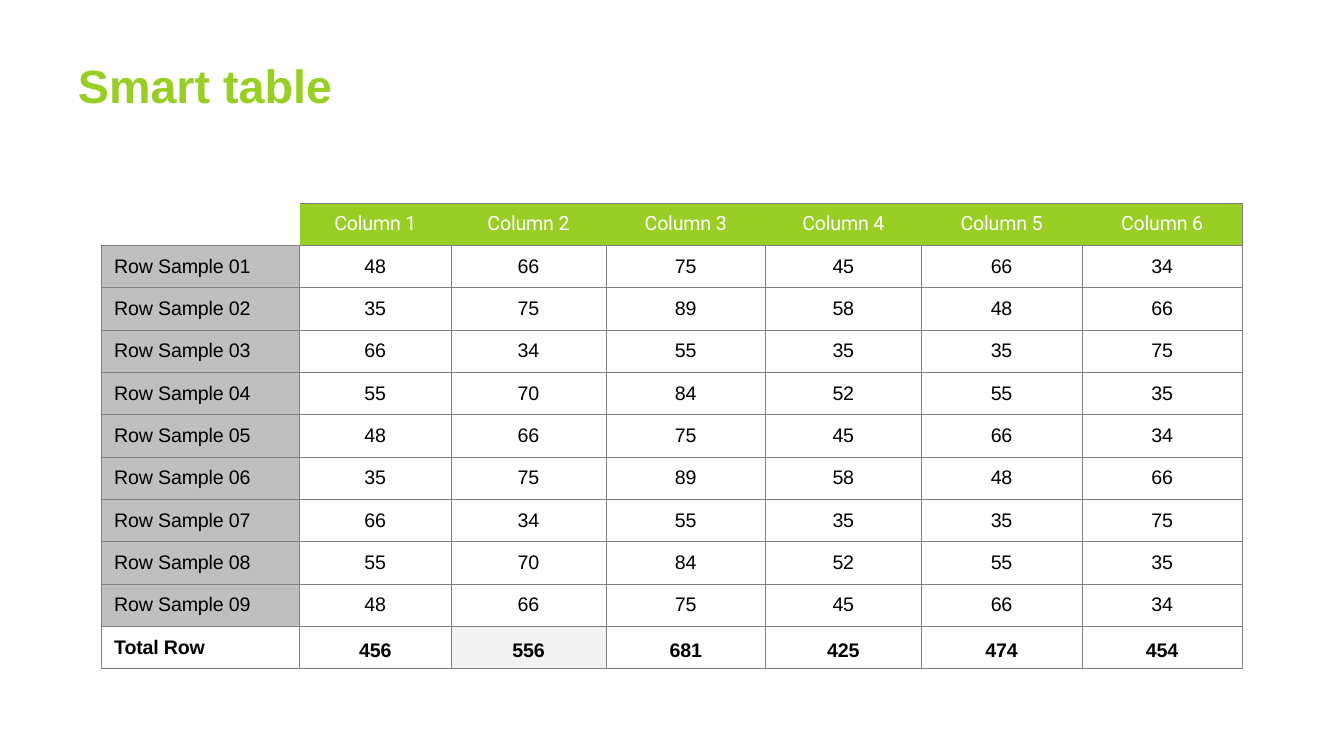
from itertools import accumulate, cycle, islice

from lxml.etree import SubElement
from pptx import Presentation
from pptx.dml.color import RGBColor
from pptx.enum.text import MSO_ANCHOR as Anchor, MSO_AUTO_SIZE as AutoSize, PP_ALIGN as Align
from pptx.oxml.ns import qn
from pptx.util import Pt

TITLE = "Smart table"
COLUMNS = [f"Column {n}" for n in range(1, 7)]
SAMPLE_CYCLE = [
    (48, 66, 75, 45, 66, 34),
    (35, 75, 89, 58, 48, 66),
    (66, 34, 55, 35, 35, 75),
    (55, 70, 84, 52, 55, 35),
]
SAMPLES = [
    (f"Row Sample {n:02}", *values)
    for n, values in enumerate(islice(cycle(SAMPLE_CYCLE), 9), 1)
]
TOTALS = ("Total Row", 456, 556, 681, 425, 474, 454)
GRID = [("", *COLUMNS), *SAMPLES, TOTALS]

THEME = {
    "green": "99CE24", "white": "FFFFFF", "black": "000000",
    "label": "BFBFBF", "pale": "F2F2F2", "border": "7F7F7F",
    "title_size": 50, "table_size": 21, "border_width": 0.5,
    "font": "Arial", "header_font": "Roboto", "tracking": -0.2,
}
NO_STYLE = "{2D5ABB26-0587-4C30-8999-92F81FD0307C}"

EMU_PER_PX = 9144  # 100 px to the inch
SLIDE_SIZE = (2000, 1125)
TITLE_BOX = (106, 79, 1135, 94)
TABLE_CORNER = (150, 302)
COLUMN_WIDTHS = (296, 225, 231, 237, 232, 239, 239)
ROW_HEIGHT = 63
CELL_INSETS = (20, 10, 20, 10)


def px(length):
    return length * EMU_PER_PX


def write(frame, text, *, size, color, font=THEME["font"], bold=False,
          align=Align.LEFT, tracking=None):
    paragraph = frame.paragraphs[0]
    paragraph.alignment = align
    run = paragraph.add_run()
    run.text = text
    run.font.name, run.font.size, run.font.bold = font, Pt(size), bold
    run.font.color.rgb = RGBColor.from_string(color)
    if tracking is not None:
        run.font._element.set("spc", str(round(tracking * 100)))


def add_alpha(color, percent):
    SubElement(color, qn("a:alpha"), val=str(percent * 1000))


def paint(cell, color, opacity):
    cell.fill.solid()
    cell.fill.fore_color.rgb = RGBColor.from_string(color)
    if opacity < 100:
        add_alpha(cell._tc.tcPr.find(".//" + qn("a:srgbClr")), opacity)


def draw_borders(cell, sides):
    """Line the given sides (letters of LRTB) and clear the others."""
    properties = cell._tc.get_or_add_tcPr()
    for side in "LRTB":
        line = SubElement(properties, qn(f"a:ln{side}"), w=str(Pt(THEME["border_width"])))
        if side in sides:
            fill = SubElement(line, qn("a:solidFill"))
            add_alpha(SubElement(fill, qn("a:srgbClr"), val=THEME["border"]), 50)
        else:
            SubElement(line, qn("a:noFill"))


def borders_for(row, column):
    if row > 0:
        return "LRTB"
    if column == 0:
        return "B"
    return "RTB" if column == len(COLUMNS) else "TB"


def fill_for(row, column):
    """Colour and opacity of a cell, or None for a clear one."""
    if row == 0:
        return (THEME["green"], 100) if column else None
    if row == len(GRID) - 1:
        return THEME["pale" if column == 2 else "white"], 10
    return None if column else (THEME["label"], 40)


def format_cell(cell, text, row, column):
    header, total = row == 0, row == len(GRID) - 1
    (cell.margin_left, cell.margin_top,
     cell.margin_right, cell.margin_bottom) = map(px, CELL_INSETS)
    cell.vertical_anchor = Anchor.BOTTOM if total and column else Anchor.MIDDLE
    if text:
        write(cell.text_frame, text, size=THEME["table_size"],
              color=THEME["white" if header else "black"],
              font=THEME["header_font" if header else "font"], bold=total,
              align=Align.CENTER if column else Align.LEFT,
              tracking=THEME["tracking"])
    draw_borders(cell, borders_for(row, column))
    fill = fill_for(row, column)
    if fill:
        paint(cell, *fill)
    else:
        cell.fill.background()


def add_title(slide):
    title = slide.shapes.title
    title.left, title.top, title.width, title.height = map(px, TITLE_BOX)
    frame = title.text_frame
    frame.word_wrap = True
    frame.auto_size = AutoSize.SHAPE_TO_FIT_TEXT
    frame.vertical_anchor = Anchor.TOP
    write(frame, TITLE, size=THEME["title_size"], color=THEME["green"],
          bold=True, align=Align.JUSTIFY)


def add_smart_table(slide):
    size = (sum(COLUMN_WIDTHS), ROW_HEIGHT * len(GRID))
    table = slide.shapes.add_table(
        len(GRID), len(COLUMN_WIDTHS), *map(px, TABLE_CORNER + size)).table
    table.first_row = table.horz_banding = False
    table._tbl.tblPr.find(qn("a:tableStyleId")).text = NO_STYLE
    for column, width in zip(table.columns, COLUMN_WIDTHS):
        column.width = px(width)
    for row, entries in enumerate(GRID):
        table.rows[row].height = px(ROW_HEIGHT)
        for column, entry in enumerate(entries):
            format_cell(table.cell(row, column), str(entry), row, column)


def main():
    deck = Presentation()
    deck.slide_width, deck.slide_height = map(px, SLIDE_SIZE)
    slide = deck.slides.add_slide(deck.slide_layouts[5])
    add_smart_table(slide)
    add_title(slide)
    deck.save("out.pptx")


if __name__ == "__main__":
    main()
